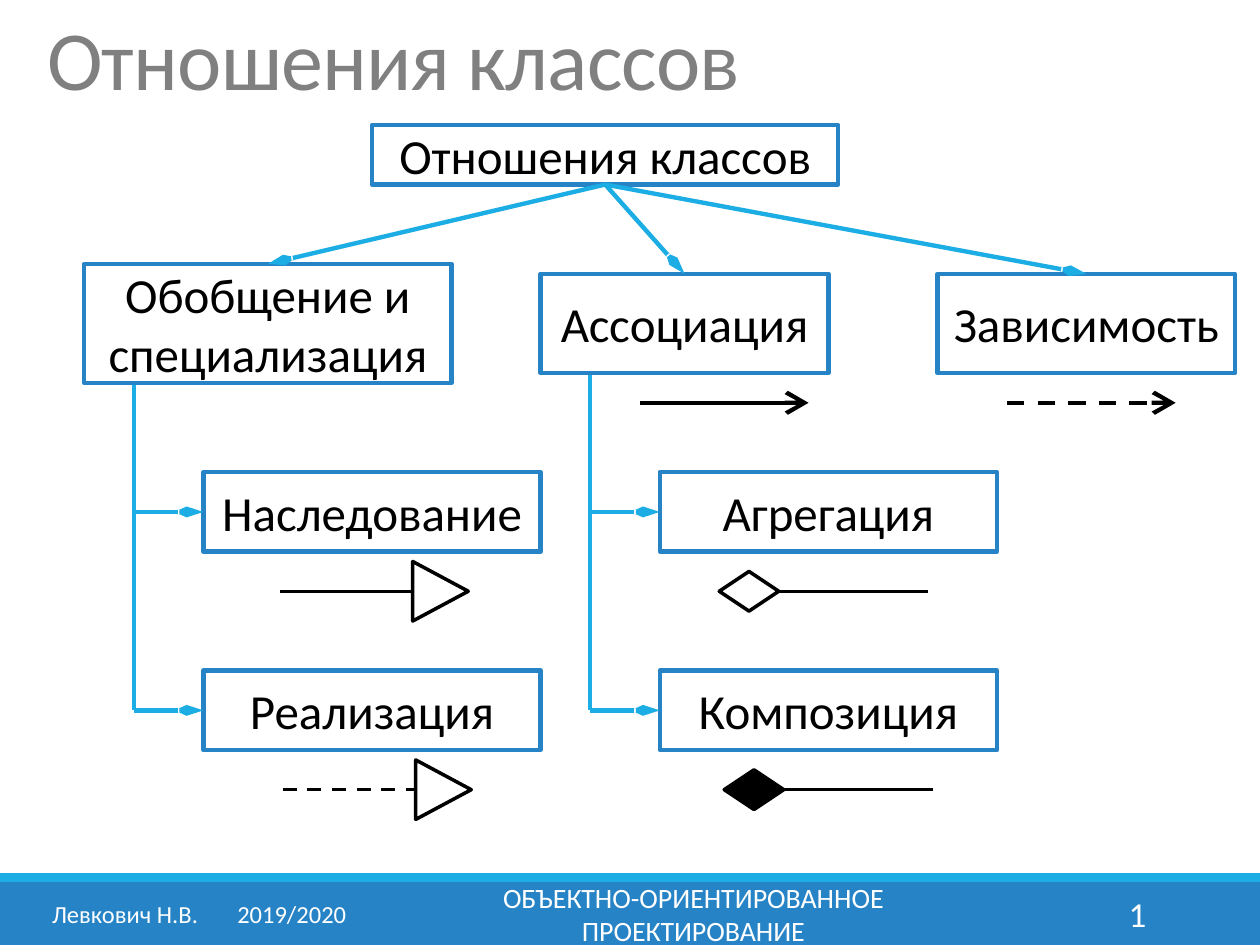
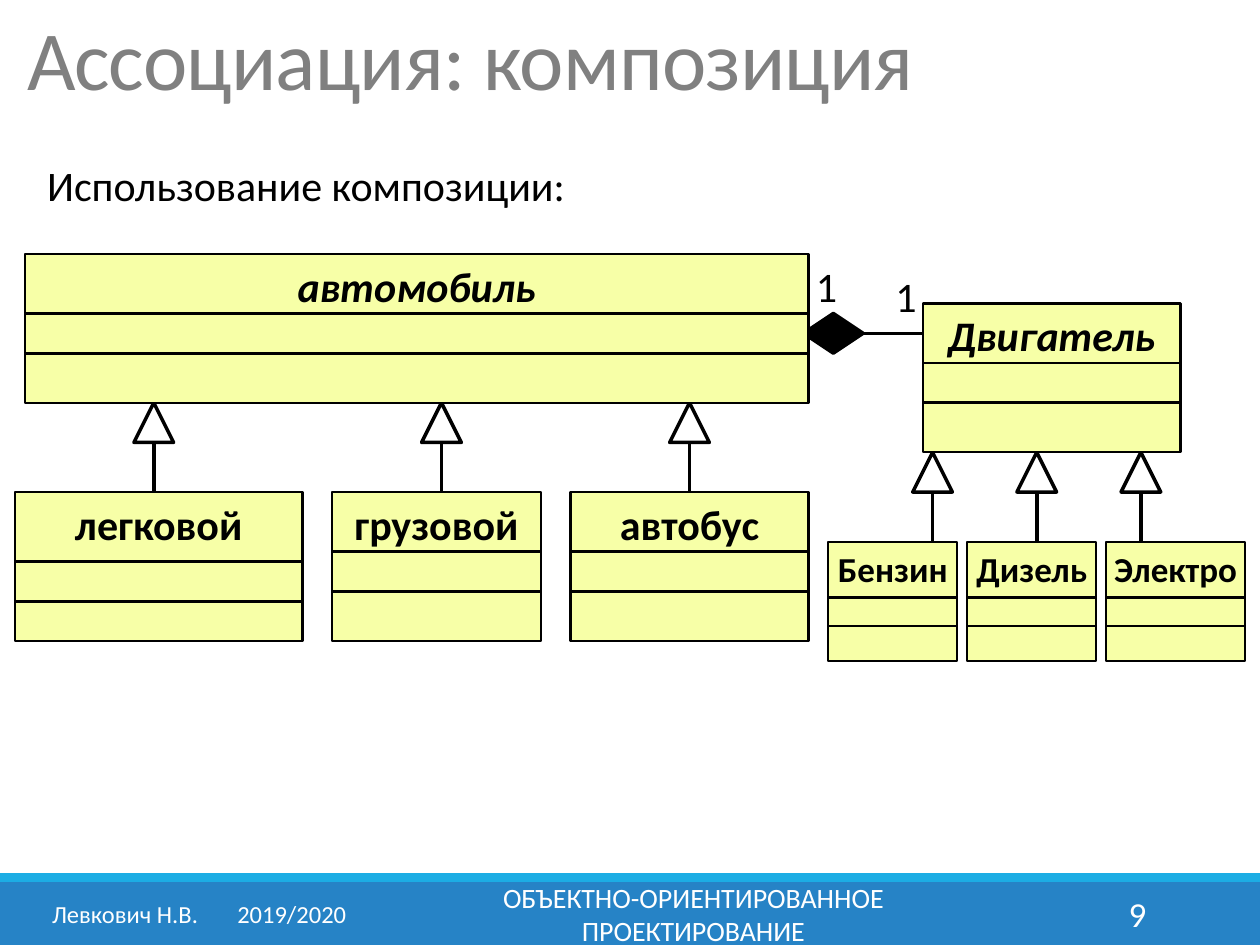
import dataclasses

import lxml.etree
import pptx
import pptx.dml.color
import pptx.enum.dml
import pptx.enum.shapes
import pptx.enum.text
import pptx.oxml.ns
import pptx.util

SHAPE = pptx.enum.shapes.MSO_SHAPE
ALIGN = pptx.enum.text.PP_ALIGN
ANCHOR = pptx.enum.text.MSO_ANCHOR


@dataclasses.dataclass(frozen=True)
class Theme:
    font: str = "Calibri"
    blue: str = "2683C6"
    cyan: str = "1CADE4"
    title_grey: str = "808080"
    class_yellow: str = "F7FFA7"
    black: str = "000000"
    white: str = "FFFFFF"
    title_size: int = 48
    box_size: int = 28
    body_size: int = 24
    subclass_size: int = 20
    number_size: int = 20
    course_size: int = 16
    author_size: int = 14


def rgb(code):
    return pptx.dml.color.RGBColor.from_string(code)


def add_xml(parent, tag, **attributes):
    return lxml.etree.SubElement(parent, pptx.oxml.ns.qn(tag), **attributes)


class Deck:
    """Slides on a grid of 127 square cells across, set off slightly from the corner."""

    COLUMNS = 127
    LEFT_OFFSET, TOP_OFFSET = 0.5, 0.6

    def __init__(self, theme):
        self.theme = theme
        self.presentation = pptx.Presentation()
        self.presentation.slide_width = pptx.util.Inches(10)
        self.presentation.slide_height = pptx.util.Inches(7.5)
        self.cell = self.presentation.slide_width / self.COLUMNS
        self.slide = None

    def size(self, cells):
        return pptx.util.Emu(round(cells * self.cell))

    def point(self, column, row):
        return self.size(column + self.LEFT_OFFSET), self.size(row + self.TOP_OFFSET)

    def frame(self, column, row, width, height):
        return *self.point(column, row), self.size(width), self.size(height)

    def start_slide(self, title, title_frame, number):
        self.slide = self.presentation.slides.add_slide(self.presentation.slide_layouts[5])
        self.band(14 / 15, 1 / 15, self.theme.blue)
        self.band(0.924, 0.0093, self.theme.cyan)
        heading = self.slide.shapes.title
        heading.left, heading.top, heading.width, heading.height = self.frame(*title_frame)
        heading.text_frame.auto_size = pptx.enum.text.MSO_AUTO_SIZE.NONE
        run = self.add_words(heading, title, self.theme.title_size, self.theme.title_grey,
                             ALIGN.LEFT, ANCHOR.TOP)
        run._r.get_or_add_rPr().set("spc", "-50")
        heading.text_frame.paragraphs[0].line_spacing = 0.85
        self.footer(number)

    def band(self, top_share, height_share, color):
        height = self.presentation.slide_height
        band = self.slide.shapes.add_shape(
            SHAPE.RECTANGLE, 0, round(height * top_share),
            self.presentation.slide_width, round(height * height_share))
        band.shadow.inherit = False
        band.fill.solid()
        band.fill.fore_color.rgb = rgb(color)
        band.line.fill.background()

    def footer(self, number):
        theme = self.theme
        author = self.text((3.5, 89, 33, 5), "Левкович Н.В.\t2019/2020",
                           theme.author_size, theme.white)
        properties = author.text_frame.paragraphs[0]._p.get_or_add_pPr()
        tabs = add_xml(properties, "a:tabLst")
        add_xml(tabs, "a:tab", pos=str(pptx.util.Inches(1.47)), algn="l")
        self.text((37.9, 89, 63, 5), "ОБЪЕКТНО-ОРИЕНТИРОВАННОЕ ПРОЕКТИРОВАНИЕ",
                  theme.course_size, theme.white, ALIGN.CENTER)
        self.text((102.6, 89, 13.7, 5), number, theme.number_size, theme.white, ALIGN.RIGHT)

    def add_words(self, shape, words, size, color, align, anchor, bold=False, italic=False):
        text_frame = shape.text_frame
        text_frame.word_wrap = True
        text_frame.vertical_anchor = anchor
        paragraph = text_frame.paragraphs[0]
        paragraph.alignment = align
        run = paragraph.add_run()
        run.text = words
        run.font.name = self.theme.font
        run.font.size = pptx.util.Pt(size)
        run.font.color.rgb = rgb(color)
        run.font.bold, run.font.italic = bold, italic
        return run

    def text(self, frame, words, size, color, align=ALIGN.LEFT, anchor=ANCHOR.MIDDLE):
        box = self.slide.shapes.add_textbox(*self.frame(*frame))
        self.add_words(box, words, size, color, align, anchor)
        return box

    def shape(self, kind, frame, fill, line, weight):
        shape = self.slide.shapes.add_shape(kind, *self.frame(*frame))
        shape.shadow.inherit = False
        if fill:
            shape.fill.solid()
            shape.fill.fore_color.rgb = rgb(fill)
        else:
            shape.fill.background()
        shape.line.color.rgb = rgb(line)
        shape.line.width = pptx.util.Pt(weight)
        return shape

    def line(self, start, end, color, weight, dashed=False, head_width=None):
        """Straight line; head_width ("sm", "lg") adds a long open arrowhead at the end."""
        connector = self.slide.shapes.add_connector(
            pptx.enum.shapes.MSO_CONNECTOR.STRAIGHT, *self.point(*start), *self.point(*end))
        connector.line.color.rgb = rgb(color)
        connector.line.width = pptx.util.Pt(weight)
        if dashed:
            connector.line.dash_style = pptx.enum.dml.MSO_LINE.DASH
        properties = connector._element.spPr
        if head_width:
            add_xml(properties.find(pptx.oxml.ns.qn("a:ln")), "a:tailEnd",
                    type="arrow", w=head_width, len="lg")
        add_xml(properties, "a:effectLst")

    def concept(self, frame, words, fill=None):
        box = self.shape(SHAPE.RECTANGLE, frame, fill, self.theme.blue, 2.5)
        self.add_words(box, words, self.theme.box_size, self.theme.black,
                       ALIGN.CENTER, ANCHOR.MIDDLE)

    def branch(self, start, end):
        self.line(start, end, self.theme.cyan, 2.5, head_width="sm")

    def association_sign(self, column, row, dashed):
        self.line((column, row), (column + 17, row), self.theme.black, 2.5, dashed, "lg")

    def generalization_sign(self, column, row, dashed):
        """Horizontal line ending in a hollow triangle that points right."""
        self.line((column, row), (column + 18, row), self.theme.black, 2, dashed)
        triangle = self.shape(SHAPE.ISOSCELES_TRIANGLE, (column + 13.2, row - 2.8, 6, 5.6),
                              self.theme.white, self.theme.black, 2)
        triangle.rotation = 90

    def diamond(self, column, row, fill):
        self.shape(SHAPE.FLOWCHART_DECISION, (column, row - 2, 6, 4),
                   fill, self.theme.black, 2)

    def whole_part_sign(self, column, row, fill):
        self.line((column + 21, row), (column, row), self.theme.black, 2)
        self.diamond(column, row, fill)

    def inherits(self, column, parent_row, child_row):
        """Vertical line from a subclass up to a hollow triangle under its parent."""
        self.line((column, child_row), (column, parent_row), self.theme.black, 2)
        self.shape(SHAPE.ISOSCELES_TRIANGLE, (column - 2, parent_row, 4, 4),
                   self.theme.white, self.theme.black, 2)

    def uml_class(self, frame, name, dividers=(6, 10), size=None, abstract=False, inset=0.1):
        column, row, width, _ = frame
        box = self.shape(SHAPE.RECTANGLE, frame, self.theme.class_yellow,
                         self.theme.black, 1.25)
        box.text_frame.margin_left = box.text_frame.margin_right = pptx.util.Inches(inset)
        self.add_words(box, name, size or self.theme.body_size, self.theme.black,
                       ALIGN.CENTER, ANCHOR.TOP, bold=True, italic=abstract)
        for divider in dividers:
            self.line((column, row + divider), (column + width, row + divider),
                      self.theme.black, 1.5)


def class_relations(deck):
    theme = deck.theme
    deck.start_slide("Отношения классов", (3, 1, 120, 10), "1")

    child_rows = (47, 67)
    child_width, child_height = 34, 8
    families = {8: ("Наследование", "Реализация"), 54: ("Агрегация", "Композиция")}
    for parent_column in families:
        trunk = parent_column + 5
        deck.line((trunk, 32), (trunk, child_rows[-1] + child_height / 2), theme.cyan, 2.5)

    root = (37, 12, 47, 6)
    deck.concept(root, "Отношения классов")
    relations = [
        ((8, 26, 37, 12), "Обобщение и специализация", theme.white),
        ((54, 27, 29, 10), "Ассоциация", theme.white),
        ((94, 27, 30, 10), "Зависимость", None),
    ]
    for frame, words, fill in relations:
        column, row, width, _ = frame
        deck.concept(frame, words, fill)
        deck.branch((root[0] + root[2] / 2, root[1] + root[3]), (column + width / 2, row))

    for parent_column, children in families.items():
        for row, words in zip(child_rows, children):
            child_column, middle = parent_column + 12, row + child_height / 2
            deck.concept((child_column, row, child_width, child_height), words)
            deck.branch((parent_column + 5, middle), (child_column, middle))

    deck.association_sign(64, 40, dashed=False)
    deck.association_sign(101, 40, dashed=True)
    deck.generalization_sign(27.7, 59, dashed=False)
    deck.generalization_sign(28, 79, dashed=True)
    deck.whole_part_sign(72, 59, theme.white)
    deck.whole_part_sign(72.5, 79, theme.black)


def composition(deck):
    theme = deck.theme
    deck.start_slide("Ассоциация: композиция", (1, 1, 124, 16), "9")
    deck.text((3, 12, 123.5, 12), "Использование композиции:", theme.body_size, theme.black)

    deck.diamond(80.5, 33, theme.black)
    deck.line((92.5, 33), (86.5, 33), theme.black, 2)
    for column in (15, 44, 69):
        deck.inherits(column, 40, 49)
    for column in (93.5, 104, 114.5):
        deck.inherits(column, 45, 54)

    deck.uml_class((2, 25, 79, 15), "автомобиль", abstract=True)
    deck.uml_class((92.5, 30, 26, 15), "Двигатель", abstract=True)
    deck.uml_class((1, 49, 29, 15), "легковой", dividers=(7, 11))
    deck.uml_class((33, 49, 21, 15), "грузовой")
    deck.uml_class((57, 49, 24, 15), "автобус")
    for column, width, name in ((83, 13, "Бензин"), (97, 13, "Дизель"), (111, 14, "Электро")):
        deck.uml_class((column, 54, width, 12), name, dividers=(5.6, 8.5),
                       size=theme.subclass_size, inset=0.04)

    for frame in ((80.5, 25, 4, 6.4), (88.5, 26, 9, 6.4)):
        deck.text(frame, "1", theme.body_size, theme.black, anchor=ANCHOR.TOP)


def main():
    deck = Deck(Theme())
    class_relations(deck)
    composition(deck)
    deck.presentation.save("out.pptx")


if __name__ == "__main__":
    main()
